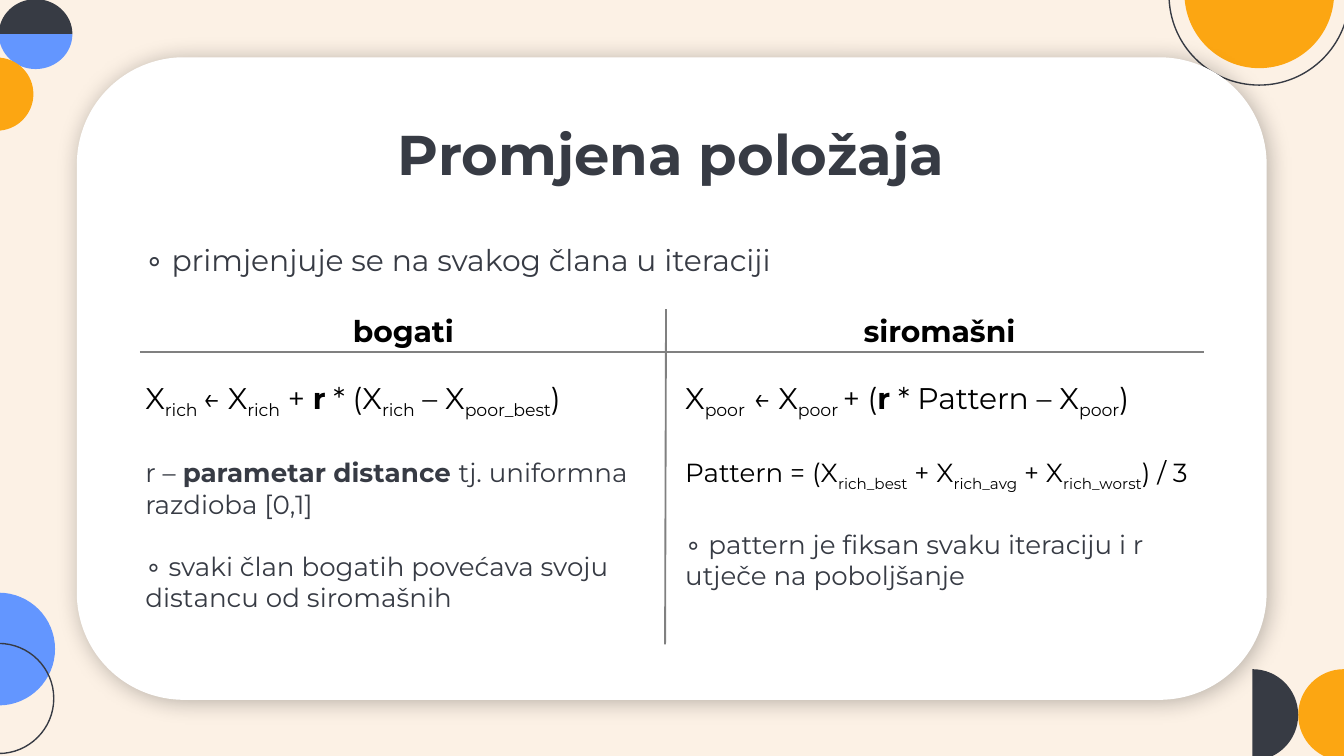
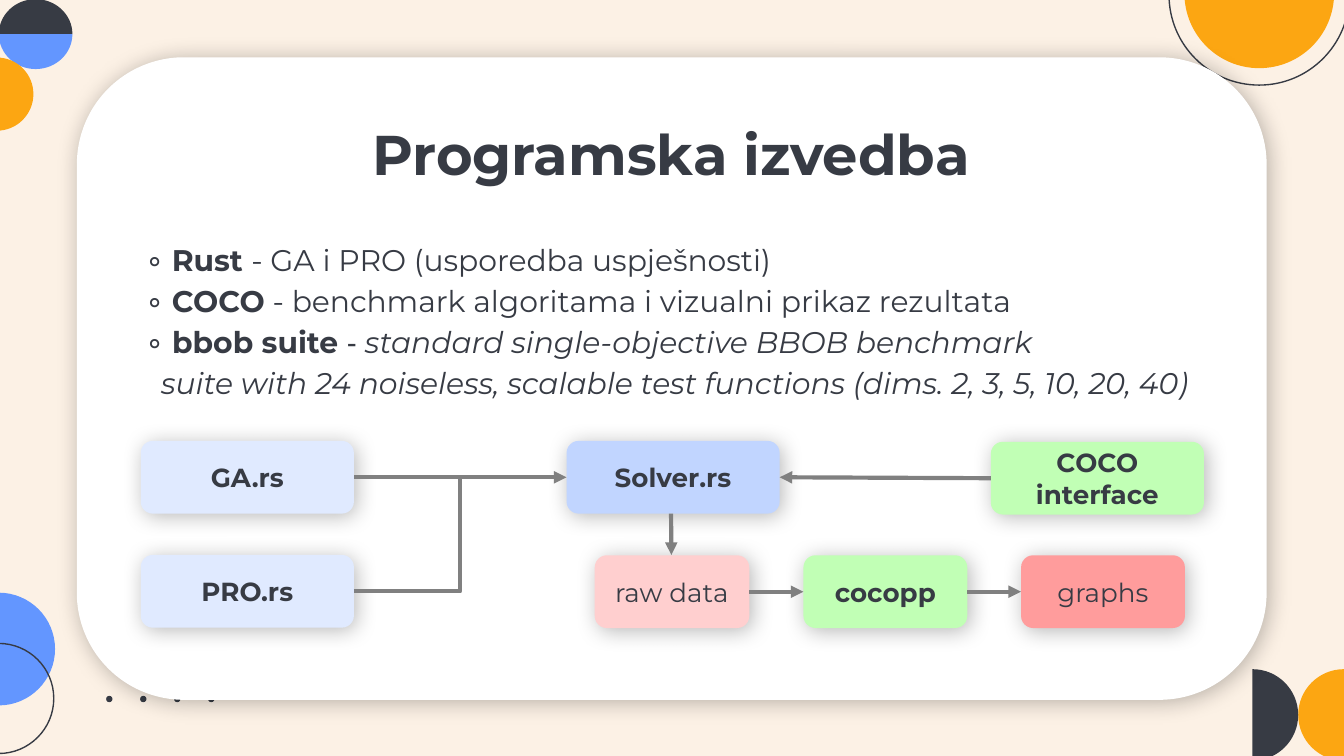
from dataclasses import dataclass
from math import cos, radians, sin
from typing import NamedTuple

from lxml.etree import SubElement
from pptx import Presentation
from pptx.dml.color import RGBColor
from pptx.enum.shapes import MSO_CONNECTOR as Connector
from pptx.enum.shapes import MSO_SHAPE as Preset
from pptx.enum.text import MSO_ANCHOR as Anchor
from pptx.enum.text import PP_ALIGN as Align
from pptx.oxml.ns import qn
from pptx.util import Pt


@dataclass(frozen=True)
class Theme:
    background: str = "FCF1E5"
    panel: str = "FFFFFF"
    ink: str = "373B44"
    black: str = "000000"
    rule: str = "808080"
    orange: str = "FCA612"
    blue: str = "6396FF"
    source: str = "E0EAFF"
    solver: str = "C1D5FF"
    tool: str = "C1FFB5"
    data: str = "FFCFCF"
    result: str = "FF9C9C"
    font: str = "Montserrat"
    fallback: str = "Arial"
    title: int = 30
    body: int = 16
    detail: int = 14
    leading: float = 1.15


THEME = Theme()


class Box(NamedTuple):
    left: float
    top: float
    width: float
    height: float


class HalfDisc(NamedTuple):
    x: float
    y: float
    radius: float
    start: int
    fill: str = ""
    closed: bool = True
    flatten: float = 1


class Span(NamedTuple):
    text: str
    bold: bool = False
    italic: bool = False
    lowered: bool = False
    font: str = ""


class Line(NamedTuple):
    spans: list[Span]
    size: int = THEME.body
    colour: str = THEME.ink
    bold: bool = False
    align: Align = Align.LEFT
    leading: float = 1.0
    before: float = 0
    indent: float = 0


class Node(NamedTuple):
    label: str
    left: float
    top: float
    width: float
    fill: str
    bold: bool = True


class Link(NamedTuple):
    start: str
    start_site: int
    end: str
    end_site: int
    kind: Connector = Connector.STRAIGHT


RIGHT, BOTTOM, LEFT, TOP = -90, 0, 90, 180
SITE_TOP, SITE_LEFT, SITE_BOTTOM, SITE_RIGHT = range(4)
QUARTER_HANDLE = 0.5523
DECOR = [
    HalfDisc(720, 383, 24.5, LEFT, THEME.orange),
    HalfDisc(671, 383, 24.5, RIGHT, THEME.ink),
    HalfDisc(-0.7, 347.7, 30.2, RIGHT, THEME.blue),
    HalfDisc(-0.7, 374.2, 29.5, RIGHT, closed=False),
    HalfDisc(19.1, 18.3, 19.7, TOP, THEME.ink, flatten=0.95),
    HalfDisc(19.1, 18.3, 19.7, BOTTOM, THEME.blue, flatten=0.95),
    HalfDisc(-1.7, 50.4, 19.6, RIGHT, THEME.orange),
    HalfDisc(674.6, -2.7, 48.3, BOTTOM),
    HalfDisc(674.6, -3.6, 40.1, BOTTOM, THEME.orange),
]
PANEL = Box(41.2, 30.7, 637.4, 344.2)
TITLE = Box(75.5, 51.5, 568, 99.4)


def plain(text: str) -> Span:
    return Span(text)


def bold(text: str) -> Span:
    return Span(text, bold=True)


def sub(text: str) -> Span:
    return Span(text, lowered=True)


def rgb(colour: str) -> RGBColor:
    return RGBColor.from_string(colour)


def paint(shape, fill: str = "", line: str = "") -> None:
    shape.shadow.inherit = False
    if fill:
        shape.fill.solid()
        shape.fill.fore_color.rgb = rgb(fill)
    else:
        shape.fill.background()
    if line:
        shape.line.color.rgb = rgb(line)
        shape.line.width = Pt(0.75)
    else:
        shape.line.fill.background()


def arc_point(disc: HalfDisc, angle: int, handle: float = 0) -> tuple[int, int]:
    turn = radians(disc.start + angle)
    across = cos(turn) - handle * sin(turn)
    down = sin(turn) + handle * cos(turn)
    return (Pt(disc.x + disc.radius * across),
            Pt(disc.y + disc.radius * disc.flatten * down))


def add_half_disc(slide, disc: HalfDisc) -> None:
    builder = slide.shapes.build_freeform(*arc_point(disc, 0))
    points = [point for angle in (0, 90) for point in (
        arc_point(disc, angle, QUARTER_HANDLE),
        arc_point(disc, angle + 90, -QUARTER_HANDLE),
        arc_point(disc, angle + 90))]
    builder.add_line_segments(points, close=disc.closed)
    shape = builder.convert_to_shape()
    segments = list(shape.element.iter(qn("a:lnTo")))
    for first in (0, 3):
        curve, *others = segments[first:first + 3]
        outline = curve.getparent()
        bezier = SubElement(outline, qn("a:cubicBezTo"))
        outline.replace(curve, bezier)
        for segment in (curve, *others):
            bezier.append(segment[0])
        for segment in others:
            outline.remove(segment)
    paint(shape, disc.fill, "" if disc.fill else THEME.ink)


def add_card(slide, box: Box, fill: str):
    shape = slide.shapes.add_shape(Preset.ROUNDED_RECTANGLE, *map(Pt, box))
    paint(shape, fill)
    effects = shape.element.spPr.find(qn("a:effectLst"))
    shadow = SubElement(effects, qn("a:outerShdw"), blurRad=str(Pt(12)), dist=str(Pt(2)),
                        dir="2700000", algn="ctr", rotWithShape="0")
    colour = SubElement(shadow, qn("a:srgbClr"), val=THEME.black)
    SubElement(colour, qn("a:alpha"), val="28000")
    return shape


def write(shape, lines: list[Line], anchor: Anchor = Anchor.TOP, inset: float = 3.6) -> None:
    frame = shape.text_frame
    frame.word_wrap = True
    frame.vertical_anchor = anchor
    frame.margin_left = frame.margin_right = Pt(7.2)
    frame.margin_top = frame.margin_bottom = Pt(inset)
    for index, line in enumerate(lines):
        paragraph = frame.add_paragraph() if index else frame.paragraphs[0]
        paragraph.alignment = line.align
        paragraph.line_spacing = line.leading
        paragraph.space_before = Pt(line.before)
        if line.indent:
            properties = paragraph._p.get_or_add_pPr()
            properties.set("marL", str(Pt(line.indent)))
            properties.set("indent", "0")
        font = paragraph.font
        font.name, font.size, font.bold = THEME.font, Pt(line.size), line.bold
        font.color.rgb = rgb(line.colour)
        for span in line.spans:
            run = paragraph.add_run()
            run.text = span.text
            if span.bold:
                run.font.bold = True
            if span.italic:
                run.font.italic = True
            if span.font:
                run.font.name = span.font
            if span.lowered:
                run.font._element.set("baseline", "-25000")


def add_text(slide, box: Box, lines: list[Line], anchor: Anchor = Anchor.TOP,
             inset: float = 3.6) -> None:
    write(slide.shapes.add_textbox(*map(Pt, box)), lines, anchor, inset)


def add_line(slide, start: tuple[float, float], end: tuple[float, float], width: float = 1,
             kind: Connector = Connector.STRAIGHT, arrow: bool = False):
    connector = slide.shapes.add_connector(kind, *map(Pt, start + end))
    connector.line.color.rgb = rgb(THEME.rule)
    connector.line.width = Pt(width)
    if arrow:
        SubElement(connector.line._get_or_add_ln(), qn("a:tailEnd"), type="triangle")
    SubElement(connector.element.spPr, qn("a:effectLst"))
    return connector


def add_base(presentation, title: str, dots: int = 0):
    slide = presentation.slides.add_slide(presentation.slide_layouts[6])
    slide.background.fill.solid()
    slide.background.fill.fore_color.rgb = rgb(THEME.background)
    for disc in DECOR:
        add_half_disc(slide, disc)
    for index in range(dots):
        dot = Box(56.9 + 18.2 * index, 372.8, 3.4, 3.4)
        paint(slide.shapes.add_shape(Preset.OVAL, *map(Pt, dot)), THEME.ink)
    add_card(slide, PANEL, THEME.panel)
    add_text(slide, TITLE, [Line([plain(title)], THEME.title, bold=True, align=Align.CENTER,
                                 leading=THEME.leading)], inset=7.2)
    return slide


def build_position_slide(presentation) -> None:
    slide = add_base(presentation, "Promjena položaja")
    intro = Line([plain("∘ primjenjuje se na svakog člana u iteraciji")], leading=THEME.leading)
    add_text(slide, Box(70.7, 119.5, 578, 34.6), [intro], inset=7.2)
    rich = [
        Line([plain("X"), sub("rich "), plain("← X"), sub("rich"), plain(" + "), bold("r"),
              plain(" * (X"), sub("rich"), plain(" – X"), sub("poor_best"), plain(")")],
             colour=THEME.black),
        Line([plain("r – "), bold("parametar distance "),
              plain("tj. uniformna razdioba [0,1]")], THEME.detail, before=19.5),
        Line([plain("∘ svaki član bogatih povećava svoju distancu od siromašnih")],
             THEME.detail, before=16.5),
    ]
    poor = [
        Line([plain("X"), sub("poor"), plain(" ← X"), sub("poor "), plain("+ ("), bold("r"),
              plain(" * Pattern – X"), sub("poor"), plain(")")], colour=THEME.black),
        Line([plain("Pattern = (X"), sub("rich_best"), plain(" + X"), sub("rich_avg"),
              plain(" + X"), sub("rich_worst"), plain(") / 3")],
             THEME.detail, THEME.black, before=19.5),
        Line([plain("∘ pattern je fiksan svaku iteraciju i r utječe na poboljšanje")],
             THEME.detail, before=19.2),
    ]
    add_text(slide, Box(70.8, 199.8, 289.4, 142.6), rich)
    add_text(slide, Box(360, 199.8, 301.7, 142.6), poor)
    add_line(slide, (75, 188.6), (645, 188.6))
    add_line(slide, (356.8, 165.6), (356.3, 345.2))
    for left, heading in ((75, "bogati"), (362.2, "siromašni")):
        add_text(slide, Box(left, 165.6, 282.2, 23),
                 [Line([plain(heading)], colour=THEME.black, bold=True, align=Align.CENTER)],
                 Anchor.MIDDLE)


def build_software_slide(presentation) -> None:
    slide = add_base(presentation, "Programska izvedba", dots=4)
    bullet = plain("∘ ")
    items = [
        [bullet, bold("Rust "), plain("- GA i PRO (usporedba uspješnosti)")],
        [bullet, bold("COCO"), plain(" - benchmark algoritama i vizualni prikaz rezultata")],
        [Span("∘ ", font=THEME.fallback), bold("bbob suite "), Span("- ", font=THEME.fallback),
         Span("standard single-objective BBOB benchmark", italic=True)],
    ]
    suite = Span("suite with 24 noiseless, scalable test functions (dims. 2, 3, 5, 10, 20, 40)",
                 italic=True)
    lines = [Line(spans, leading=THEME.leading) for spans in items]
    lines.append(Line([suite], leading=THEME.leading, indent=8.4))
    add_text(slide, Box(70.8, 119.3, 588.2, 205.2), lines, inset=7.2)

    upper, lower, height = 236.2, 297.3, 39
    nodes = [
        Node("GA.rs", 75.4, upper, 114.2, THEME.source),
        Node("PRO.rs", 75.4, lower, 114.2, THEME.source),
        Node("Solver.rs", 303.5, upper, 114.2, THEME.solver),
        Node("COCO interface", 530.8, upper + 0.5, 114.2, THEME.tool),
        Node("raw data", 318.6, lower + 0.2, 82.8, THEME.data, False),
        Node("cocopp", 430.4, lower + 0.2, 87.8, THEME.tool),
        Node("graphs", 547, lower + 0.2, 87.8, THEME.result, False),
    ]
    links = [
        Link("PRO.rs", SITE_RIGHT, "Solver.rs", SITE_LEFT, Connector.ELBOW),
        Link("COCO interface", SITE_LEFT, "Solver.rs", SITE_RIGHT),
        Link("raw data", SITE_RIGHT, "cocopp", SITE_LEFT),
        Link("cocopp", SITE_RIGHT, "graphs", SITE_LEFT),
    ]
    cards = {}
    for node in nodes:
        card = add_card(slide, Box(node.left, node.top, node.width, height), node.fill)
        write(card, [Line([plain(node.label)], THEME.detail, bold=node.bold,
                          align=Align.CENTER)], Anchor.MIDDLE)
        cards[node.label] = card
    for link in links:
        connector = add_line(slide, (0, 0), (0, 0), 2.25, link.kind, arrow=True)
        connector.begin_connect(cards[link.start], link.start_site)
        connector.end_connect(cards[link.end], link.end_site)
    add_line(slide, (359.5, upper + height), (359.7, lower), 2.25, arrow=True)
    middle = upper + height / 2
    add_line(slide, (247.4, middle), (189.6, middle), 2.25)


def main() -> None:
    presentation = Presentation()
    presentation.slide_width, presentation.slide_height = Pt(720), Pt(405)
    build_position_slide(presentation)
    build_software_slide(presentation)
    presentation.save("out.pptx")


if __name__ == "__main__":
    main()
